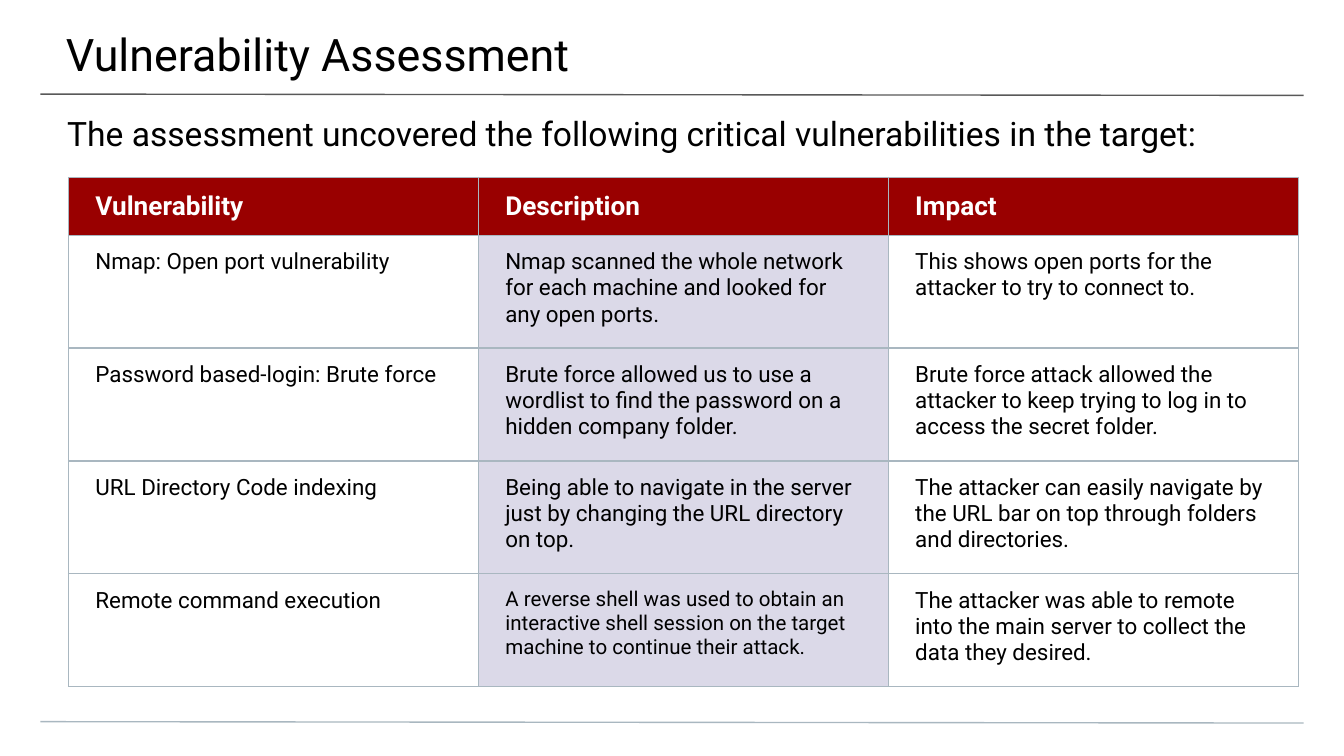
from pptx import Presentation
from pptx.dml.color import RGBColor
from pptx.enum.shapes import MSO_CONNECTOR
from pptx.enum.text import MSO_ANCHOR, MSO_AUTO_SIZE, PP_ALIGN
from pptx.oxml.ns import qn
from pptx.util import Inches, Pt
from lxml import etree

LINE = MSO_CONNECTOR.STRAIGHT
TOP, MIDDLE = MSO_ANCHOR.TOP, MSO_ANCHOR.MIDDLE
LEFT = PP_ALIGN.LEFT
FIXED = MSO_AUTO_SIZE.NONE

FONT = "Roboto"
COLORS = {
    "text": "000000",
    "white": "FFFFFF",
    "head": "990000",
    "tint": "DBD9E8",
    "rule": "595959",
    "grid": "A9B7C0",
}

HEADS = ["Vulnerability", "Description", "Impact"]
ROWS = [
    ["Nmap: Open port vulnerability",
     "Nmap scanned the whole network for each machine and looked for any open ports.",
     "This shows open ports for the attacker to try to connect to."],
    ["Password based-login: Brute force",
     "Brute force allowed us to use a wordlist to find the password on a hidden company folder.",
     "Brute force attack allowed the attacker to keep trying to log in to access the secret folder."],
    ["URL Directory Code indexing",
     "Being able to navigate in the server just by changing the URL directory on top.",
     "The attacker can easily navigate by the URL bar on top through folders and directories."],
    ["Remote command execution",
     "A reverse shell was used to obtain an interactive shell session on the target machine to continue their attack.",
     "The attacker was able to remote into the main server to collect the data they desired."],
]
COL_W, HEAD_H, ROW_H = 3.05, 0.43, 0.84


def rgb(name):
    return RGBColor.from_string(COLORS[name])


def add_run(para, text, size, color="text", bold=False):
    run = para.add_run()
    run.text = text
    font = run.font
    font.name, font.size, font.bold = FONT, Pt(size), bold
    font.color.rgb = rgb(color)


def set_insets(item, insets):
    """Set left, top, right and bottom margins of a frame or cell."""
    (item.margin_left, item.margin_top,
     item.margin_right, item.margin_bottom) = map(Inches, insets)


def fill_holder(holder, box, insets, text, size):
    """Place a placeholder and give it one line of text."""
    holder.left, holder.top, holder.width, holder.height = map(Inches, box)
    frame = holder.text_frame
    frame.word_wrap = True
    frame.auto_size = FIXED
    frame.vertical_anchor = TOP
    set_insets(frame, insets)
    para = frame.paragraphs[0]
    para.alignment = LEFT
    para.space_before = Pt(0)
    add_run(para, text, size)


def add_rule(slide, y, color):
    rule = slide.shapes.add_connector(
        LINE, Inches(0.3), Inches(y), Inches(9.7), Inches(y + 0.01))
    rule.line.color.rgb = rgb(color)
    rule.line.width = Pt(0.75)
    etree.SubElement(rule._element.spPr, qn("a:effectLst"))


def add_borders(cell):
    props = cell._tc.get_or_add_tcPr()
    for side in ("lnL", "lnR", "lnT", "lnB"):
        edge = etree.SubElement(props, qn(f"a:{side}"), w=str(Pt(0.75)))
        fill = etree.SubElement(edge, qn("a:solidFill"))
        etree.SubElement(fill, qn("a:srgbClr"), val=COLORS["grid"])


def fill_cell(cell, text, size, color="text", fill=None, bold=False, anchor=TOP):
    add_borders(cell)
    if fill:
        cell.fill.solid()
        cell.fill.fore_color.rgb = rgb(fill)
    else:
        cell.fill.background()
    set_insets(cell, (0.2, 0.1, 0.2, 0.1))
    cell.vertical_anchor = anchor
    add_run(cell.text_frame.paragraphs[0], text, size, color, bold)


def add_grid(slide):
    rows, cols = len(ROWS) + 1, len(HEADS)
    frame = slide.shapes.add_table(
        rows, cols, Inches(0.51), Inches(1.32),
        Inches(cols * COL_W), Inches(HEAD_H + len(ROWS) * ROW_H))
    table = frame.table
    table.first_row = table.horz_banding = False
    for col in table.columns:
        col.width = Inches(COL_W)
    for i, row in enumerate(table.rows):
        row.height = Inches(ROW_H if i else HEAD_H)
    for c, head in enumerate(HEADS):
        fill_cell(table.cell(0, c), head, 14, "white", "head", True, MIDDLE)
    for r, texts in enumerate(ROWS, 1):
        for c, text in enumerate(texts):
            size = 11 if len(text) > 100 else 12
            fill = "tint" if c == 1 else None
            fill_cell(table.cell(r, c), text, size, fill=fill)


def main():
    deck = Presentation()
    deck.slide_width = Inches(10)
    deck.slide_height = deck.slide_width * 9 // 16
    slide = deck.slides.add_slide(deck.slide_layouts[0])
    add_rule(slide, 0.7, "rule")
    add_rule(slide, 5.37, "grid")
    fill_holder(slide.shapes.title, (-0.01, 0, 10.03, 0.58),
                (0.5, 0.2, 0.3, 0.1), "Vulnerability Assessment", 24)
    fill_holder(slide.placeholders[1], (0, 0.74, 10, 0.4), (0.5, 0.1, 0.5, 0),
                "The assessment uncovered the following critical "
                "vulnerabilities in the target:", 18)
    add_grid(slide)
    deck.save("out.pptx")


if __name__ == "__main__":
    main()
